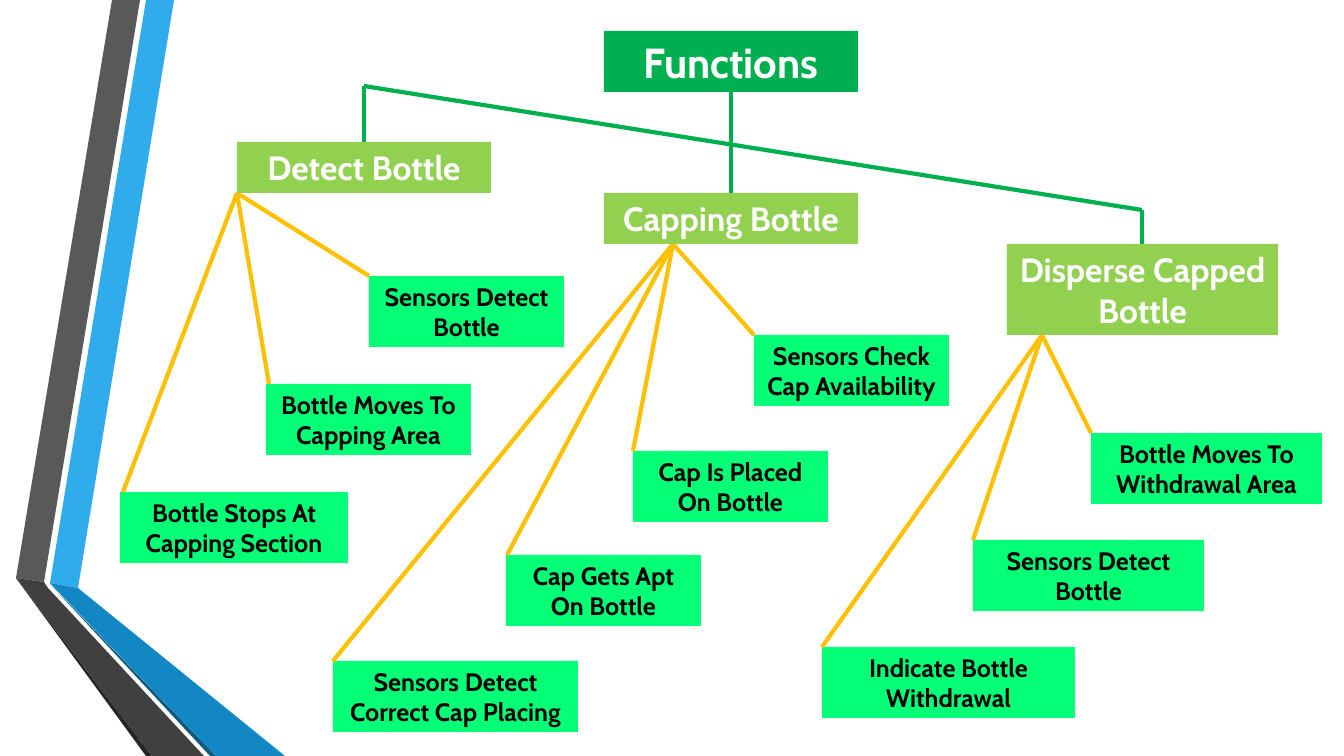
from pptx import Presentation
from pptx.dml.color import RGBColor
from pptx.enum.shapes import MSO_CONNECTOR, MSO_SHAPE
from pptx.enum.text import MSO_ANCHOR, PP_ALIGN
from pptx.oxml import parse_xml
from pptx.oxml.ns import nsdecls
from pptx.util import Inches, Pt

PIXEL = Inches(1) / 100.8
PAGE_BOX = (0, 0, 1344, 756)
FONT = "Cabin"
RECTANGLE = MSO_SHAPE.RECTANGLE
STRAIGHT = MSO_CONNECTOR.STRAIGHT
CENTER = PP_ALIGN.CENTER
MIDDLE = MSO_ANCHOR.MIDDLE

WHITE = RGBColor(0xFF, 0xFF, 0xFF)
BLACK = RGBColor(0, 0, 0)
ROOT_GREEN = RGBColor(0x00, 0xB0, 0x50)
BRANCH_GREEN = RGBColor(0x92, 0xD0, 0x50)
LEAF_GREEN = RGBColor(0x05, 0xFF, 0x76)
AMBER = RGBColor(0xFF, 0xC0, 0x00)
SKY = RGBColor(0x30, 0xAC, 0xEC)
BLUE = RGBColor(0x12, 0x87, 0xC3)
NAVY = RGBColor(0x0C, 0x5A, 0x82)
GRAY = RGBColor(0x59, 0x59, 0x59)
DARK_GRAY = RGBColor(0x40, 0x40, 0x40)
CHARCOAL = RGBColor(0x26, 0x26, 0x26)

LEAF_HEIGHT = 71

# Ribbon outlines, relative to the page box
RIBBONS = [
    (SKY, [(50, 583), (78, 588), (174, 0), (146, 0)]),
    (GRAY, [(140, 0), (112, 0), (16, 578), (44, 582)]),
    (CHARCOAL, [(16, 578), (146, 756), (152, 756)]),
    (NAVY, [(50, 584), (210, 756), (216, 756)]),
    (BLUE, [(50, 583), (216, 756), (285, 756), (78, 588)]),
    (DARK_GRAY, [(204, 756), (48, 588), (44, 582), (16, 578), (152, 756)]),
]

# Branches: title, box, hub offset along the bottom edge, and leaves
# given as text, left and top relative to the branch, width, line inset
BRANCHES = [
    ("Detect Bottle", (237, 142, 254, 51), 0, [
        ("Sensors Detect Bottle", 132, 134, 195, 0),
        ("Bottle Moves To Capping Area", 29, 242, 205, 3),
        ("Bottle Stops At Capping Section", -117, 350, 228, 3)]),
    ("Capping Bottle", (604, 193, 254, 51), 69, [
        ("Sensors Check Cap Availability", 150, 142, 195, 0),
        ("Cap Is Placed On Bottle", 29, 258, 195, 0),
        ("Cap Gets Apt On Bottle", -98, 362, 195, 1),
        ("Sensors Detect Correct Cap Placing", -271, 468, 245, 0)]),
    ("Disperse Capped Bottle", (1007, 244, 271, 91), 35, [
        ("Bottle Moves To Withdrawal Area", 84, 189, 231, 0),
        ("Sensors Detect Bottle", -34, 296, 231, 0),
        ("Indicate Bottle Withdrawal", -185, 403, 253, 0)]),
]


def emu(*lengths):
    return [round(length * PIXEL) for length in lengths]


def paint(shape, color):
    shape.shadow.inherit = False
    shape.fill.solid()
    shape.fill.fore_color.rgb = color
    shape.line.fill.background()


def write(shape, text, size, color, bold=True):
    frame = shape.text_frame
    frame.word_wrap = True
    frame.vertical_anchor = MIDDLE
    para = frame.paragraphs[0]
    para.alignment = CENTER
    span = para.add_run()
    span.text = text
    span.font.name = FONT
    span.font.size = Pt(size)
    span.font.bold = bold
    span.font.color.rgb = color


def add_node(page, box, text, fill, size, color=WHITE):
    node = page.shapes.add_shape(RECTANGLE, *emu(*box))
    paint(node, fill)
    write(node, text, size=size, color=color)


def add_line(page, start, end, color):
    line = page.shapes.add_connector(STRAIGHT, *emu(*start, *end))
    line.line.color.rgb = color
    line.line.width = Pt(3)
    properties = line._element.spPr
    properties.append(parse_xml(f"<a:effectLst {nsdecls('a')}/>"))


def add_ribbons(page, box):
    left, top = box[:2]
    for color, outline in RIBBONS:
        points = [(left + x, top + y) for x, y in outline]
        builder = page.shapes.build_freeform(*points[0], scale=PIXEL)
        builder.add_line_segments(points[1:], close=True)
        paint(builder.convert_to_shape(), color)


def add_branch(page, box, title, hub_offset, leaves):
    left, top, _, height = box
    hub = (left + hub_offset, top + height)
    # Leaves, each joined to the hub
    for text, across, down, width, inset in leaves:
        x, y = left + across, top + down
        add_node(page, (x, y, width, LEAF_HEIGHT), text, LEAF_GREEN, 18, BLACK)
        add_line(page, hub, (x + inset, y), AMBER)
    add_node(page, box, title, BRANCH_GREEN, 24)


def add_root(page, box, branch_boxes):
    left, top, width, height = box
    add_node(page, box, "Functions", ROOT_GREEN, 30)
    # Slanted bar with a drop to each branch
    drop_starts = [top + 55, top + height, top + 179]
    middles = [x + w // 2 for x, _, w, _ in branch_boxes]
    add_line(page, (middles[0], drop_starts[0]),
             (middles[2], drop_starts[2]), ROOT_GREEN)
    for middle, start, branch_box in zip(middles, drop_starts, branch_boxes):
        add_line(page, (middle, start), (middle, branch_box[1]), ROOT_GREEN)


deck = Presentation()
deck.slide_width, deck.slide_height = emu(*PAGE_BOX[2:])
page = deck.slides.add_slide(deck.slide_layouts[6])

add_ribbons(page, PAGE_BOX)
for title, box, hub_offset, leaves in BRANCHES:
    add_branch(page, box, title, hub_offset, leaves)
add_root(page, (604, 31, 254, 61), [branch[1] for branch in BRANCHES])

deck.save("out.pptx")
